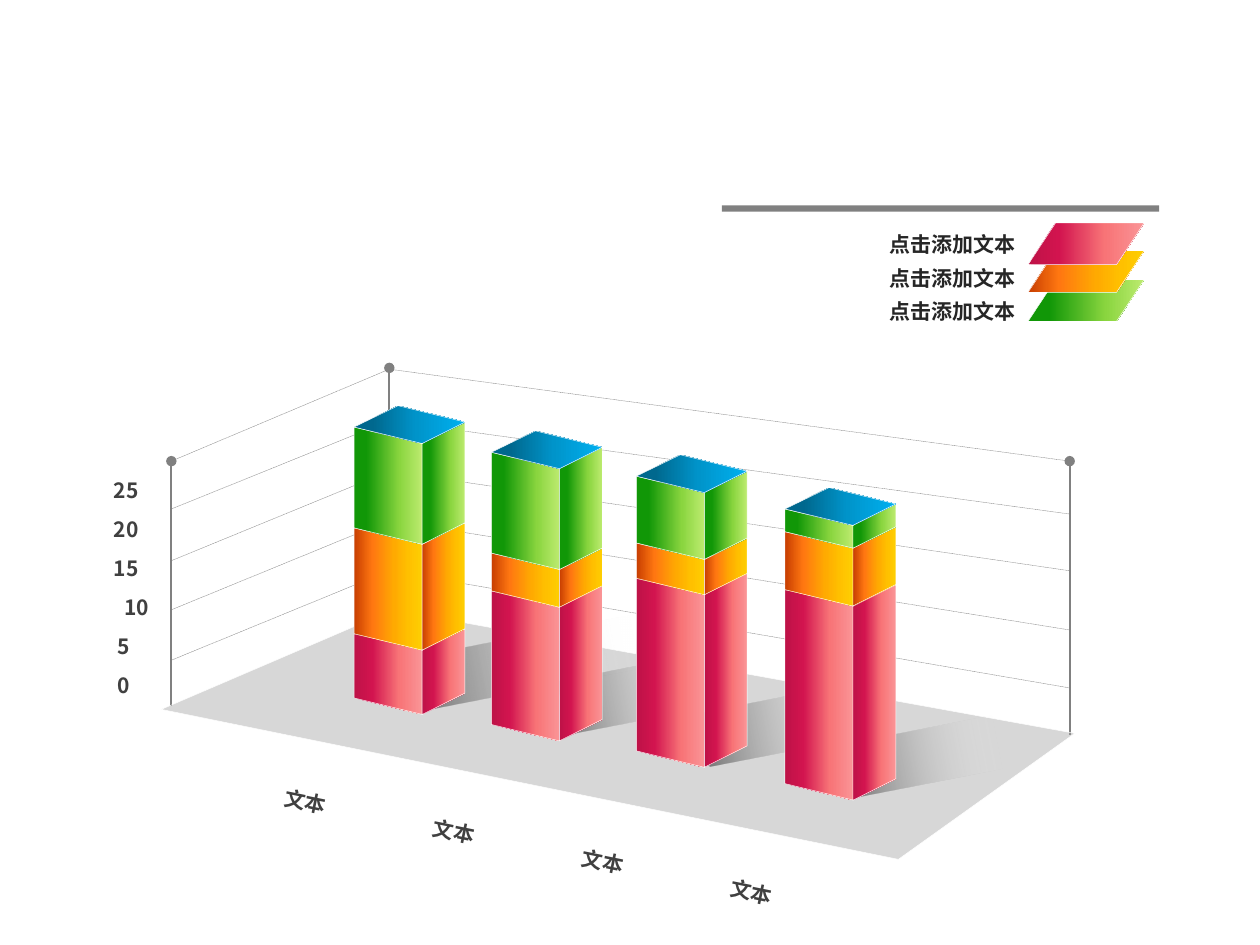
import pptx
import pptx.dml.color
import pptx.enum.dml
import pptx.enum.shapes
import pptx.enum.text
import pptx.oxml
import pptx.oxml.ns
import pptx.util

RGB = pptx.dml.color.RGBColor
GRAY = RGB(0x80, 0x80, 0x80)
FLOOR = RGB(0xA6, 0xA6, 0xA6)
WHITE = RGB(0xFF, 0xFF, 0xFF)
DARK = RGB(0x40, 0x40, 0x40)
INK = RGB(0x26, 0x26, 0x26)
BLACK = RGB(0, 0, 0)

# Gradient stops: percent, colour, opacity in percent
RED = [(0, RGB(0xBE, 0x12, 0x47), 100), (27, RGB(0xD2, 0x14, 0x4F), 100),
       (66, RGB(0xF8, 0x74, 0x77), 100), (100, RGB(0xFA, 0x94, 0x96), 100)]
AMBER = [(0, RGB(0xC7, 0x3E, 0x01), 100), (27, RGB(0xFF, 0x77, 0x11), 100),
         (59, RGB(0xFF, 0xAA, 0x01), 100), (80, RGB(0xFF, 0xC0, 0x00), 100),
         (100, RGB(0xFE, 0xCE, 0x02), 100)]
GREEN = [(18, RGB(0x11, 0x97, 0x07), 100), (67, RGB(0x8A, 0xD5, 0x3F), 100),
         (100, RGB(0xBC, 0xEB, 0x6F), 100)]
BLUE = [(17, RGB(0x00, 0x68, 0x8E), 100), (56, RGB(0x00, 0x94, 0xCA), 100),
        (100, RGB(0x00, 0xB0, 0xF0), 100)]
SHADE = [(0, BLACK, 50), (87, WHITE, 0)]

FRONT, SIDE = 0.54, 0.34        # face widths
DROP, RISE = 0.13, 0.17         # face slants
SHAPE = pptx.enum.shapes.MSO_SHAPE
ALIGN = pptx.enum.text.PP_ALIGN


class Deck:
    def __init__(self, font):
        self.font = font
        self.prs = pptx.Presentation()
        self.prs.slide_width = pptx.util.Inches(10)
        self.prs.slide_height = pptx.util.Inches(7.5)
        self.slide = self.prs.slides.add_slide(self.prs.slide_layouts[6])

    def node(self, tag, body="", **attrs):
        names = " ".join(f'{key}="{val}"' for key, val in attrs.items())
        ns = pptx.oxml.ns.nsdecls("a")
        return pptx.oxml.parse_xml(f"<a:{tag} {ns} {names}>{body}</a:{tag}>")

    def line(self, start, end, width=0.25, oval=False):
        ends = [pptx.util.Inches(v) for v in (*start, *end)]
        kind = pptx.enum.shapes.MSO_CONNECTOR.STRAIGHT
        link = self.slide.shapes.add_connector(kind, *ends)
        link.line.color.rgb = GRAY
        link.line.width = pptx.util.Pt(width)
        if oval:
            link.line._get_or_add_ln().append(self.node("tailEnd", type="oval"))
        else:
            link.line.dash_style = pptx.enum.dml.MSO_LINE.ROUND_DOT
        link._element.spPr.append(self.node("effectLst"))

    def text(self, words, box, color, align, turn=0, right=0.1):
        item = self.slide.shapes.add_textbox(*[pptx.util.Inches(v) for v in box])
        item.rotation = turn
        frame = item.text_frame
        frame.word_wrap = True
        frame.margin_right = pptx.util.Inches(right)
        frame.text = words
        para = frame.paragraphs[0]
        para.alignment = align
        font = para.runs[0].font
        font.name, font.size, font.bold = self.font, pptx.util.Pt(12), True
        font.color.rgb = color
        font._element.append(self.node("ea", typeface=self.font))

    def edge(self, item, lined):
        item.shadow.inherit = False
        if lined:
            item.line.color.rgb = WHITE
            item.line.width = pptx.util.Pt(0.25)
        else:
            item.line.fill.background()

    def blend(self, item, stops, angle):
        """Fill with a linear gradient whose stops may be see-through."""
        item.fill.gradient()
        body = "".join(
            f'<a:gs pos="{at * 1000}"><a:srgbClr val="{color}">'
            f'<a:alpha val="{alpha * 1000}"/></a:srgbClr></a:gs>'
            for at, color, alpha in stops)
        body = f'<a:gsLst>{body}</a:gsLst><a:lin ang="{angle * 60000}" scaled="0"/>'
        props = item._element.spPr
        old = props.find(pptx.oxml.ns.qn("a:gradFill"))
        props.replace(old, self.node("gradFill", body, rotWithShape=1))

    def preset(self, kind, box, turn=0, lined=False):
        item = self.slide.shapes.add_shape(
            kind, *[pptx.util.Inches(v) for v in box])
        item.rotation = turn
        self.edge(item, lined)
        return item

    def free(self, points):
        spots = [(pptx.util.Inches(x), pptx.util.Inches(y)) for x, y in points]
        pen = self.slide.shapes.build_freeform(*spots[0])
        pen.add_line_segments(spots[1:], close=True)
        item = pen.convert_to_shape()
        self.edge(item, True)
        return item

    def face(self, left, top, wide, tall, slant, stops, flip=False):
        """Draw an upright bar face: a parallelogram turned by 90 degrees."""
        box = (left + (wide - tall) / 2, top + (tall - wide) / 2, tall, wide)
        item = self.preset(SHAPE.PARALLELOGRAM, box, 90, True)
        item.adjustments[0] = slant / min(wide, tall)
        if flip:
            item._element.spPr.xfrm.set("flipV", "1")
        self.blend(item, stops, 90 if flip else 270)

    def bar(self, left, levels, shade):
        """Stack three blocks; levels are the heights on the left edge."""
        x, y, tall = shade
        self.blend(self.preset(SHAPE.RECTANGLE, (x, y, 0.43, tall), 259), SHADE, 90)
        blocks = list(zip(levels, levels[1:], (GREEN, AMBER, RED)))
        for top, low, stops in reversed(blocks):
            tall = low - top
            self.face(left, top, FRONT, tall + DROP, DROP, stops)
            self.face(left + FRONT, top + DROP - RISE, SIDE, tall + RISE, RISE,
                      stops, True)
        top = levels[0]
        lid = self.free([(left + 0.35, top - RISE), (left, top),
                         (left + FRONT, top + DROP),
                         (left + FRONT + SIDE, top + DROP - RISE)])
        self.blend(lid, BLUE, 0)


def main():
    deck = Deck("Noto Sans CJK SC")

    # Walls: left, corner and right height of each grid line
    deck.line((1.36, 5.6), (1.36, 3.66), 1, True)
    deck.line((8.49, 5.83), (8.49, 3.66), 1, True)
    for left, mid, right in [(3.66, 2.93, 3.66), (4.04, 3.34, 4.08),
                             (4.45, 3.74, 4.53), (4.84, 4.13, 5),
                             (5.24, 4.53, 5.46)]:
        deck.line((1.36, left), (3.09, mid))
        deck.line((3.09, mid), (8.49, right))

    # Axis labels
    for i in range(4):
        box = (1.74 + 1.18 * i, 6.21 + 0.24 * i, 1.37, 0.3)
        deck.text("文本", box, DARK, ALIGN.CENTER, 11.5)
    insets = [0.25, 0.25, 0.1, 0.18, 0.18, 0.18]
    for i, inset in enumerate(insets):
        box = (0.78, 5.29 - 0.31 * i, 0.5, 0.3)
        deck.text(str(5 * i), box, DARK, ALIGN.RIGHT, right=inset)

    floor = deck.free([(1.28, 5.63), (3.12, 4.84), (8.53, 5.82), (7.13, 6.82)])
    deck.blend(floor, [(0, FLOOR, 43), (100, FLOOR, 43)], 0)
    deck.line((3.09, 4.84), (3.09, 2.92), 1, True)

    for left, levels, shade in [
            (2.81, (3.39, 4.19, 5.03, 5.54), (4.06, 4.27, 1.95)),
            (3.9, (3.59, 4.39, 4.69, 5.75), (4.86, 4.88, 1.24)),
            (5.05, (3.78, 4.31, 4.59, 5.96), (6.02, 5.09, 1.31)),
            (6.23, (4.04, 4.22, 4.68, 6.22), (7.17, 5.34, 1.31))]:
        deck.bar(left, levels, shade)

    # Legend
    rule = deck.preset(SHAPE.RECTANGLE, (5.73, 1.63, 3.47, 0.05))
    rule.fill.solid()
    rule.fill.fore_color.rgb = GRAY
    for i in range(3):
        box = (5.43, 1.79 + 0.265 * i, 2.73, 0.3)
        deck.text("点击添加文本", box, INK, ALIGN.RIGHT)
    for top, stops in [(2.22, GREEN), (1.99, AMBER), (1.77, RED)]:
        tile = deck.preset(SHAPE.PARALLELOGRAM, (8.16, top, 0.92, 0.33), 0, True)
        tile.adjustments[0] = 0.66
        deck.blend(tile, stops, 0)

    deck.prs.save("out.pptx")


if __name__ == "__main__":
    main()
